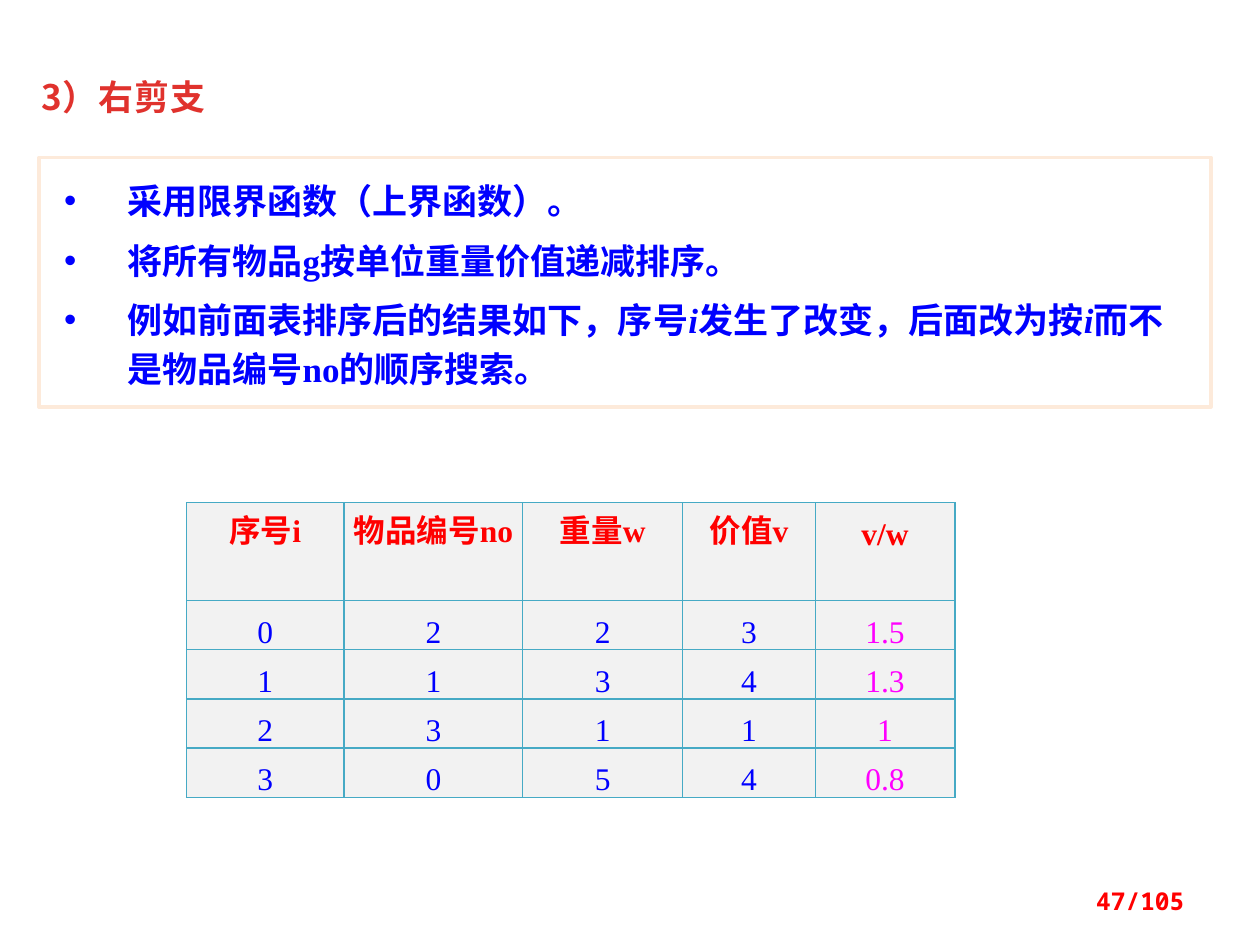
from lxml import etree
from pptx import Presentation
from pptx.dml.color import RGBColor
from pptx.enum import shapes, text
from pptx.oxml.ns import qn
from pptx.util import Inches, Pt

WHITE = RGBColor(0xFF, 0xFF, 0xFF)
RED = RGBColor(0xFF, 0, 0)
BLUE = RGBColor(0, 0, 0xFF)
MAGENTA = RGBColor(0xFF, 0, 0xFF)
TITLE_STOPS = ((0.25, RGBColor(0xE0, 0x32, 0x2D)), (1, RGBColor(0xA2, 0x20, 0x1C)))
PEACH = RGBColor(0xFD, 0xEA, 0xDA)
CELL_GREY = RGBColor(0xF2, 0xF2, 0xF2)
BORDER = RGBColor(0x46, 0xAA, 0xC5)

SERIF, SANS, MONO = "Times New Roman", "Noto Sans CJK SC", "Noto Sans Mono"
LINE_HEIGHT = Pt(28)

# Each bullet is a list of (text, italic) runs
BULLETS = [
    [("采用限界函数（上界函数）。", False)],
    [("将所有物品g按单位重量价值递减排序。", False)],
    [("例如前面表排序后的结果如下，序号", False), ("i", True),
     ("发生了改变，后面改为按", False), ("i", True),
     ("而不是物品编号no的顺序搜索。", False)],
]
ITEMS = [
    ["序号i", "物品编号no", "重量w", "价值v", "v/w"],
    ["0", "2", "2", "3", "1.5"],
    ["1", "1", "3", "4", "1.3"],
    ["2", "3", "1", "1", "1"],
    ["3", "0", "5", "4", "0.8"],
]
COLUMN_WIDTHS = [1.25, 1.42, 1.27, 1.05, 1.11]
ROW_HEIGHT = 0.34


def style_run(run, face, size, color=None, bold=False, italic=False):
    run.font.name = face
    run.font.size = Pt(size)
    run.font.bold = bold
    run.font.italic = italic
    if color is not None:
        run.font.color.rgb = color
    east_asian = etree.SubElement(run.font._element, qn("a:ea"))
    east_asian.set("typeface", SANS)


def add_title(slide, left, top, width, height):
    title = slide.shapes.add_textbox(left, top, width, height)
    frame = title.text_frame
    frame.word_wrap = False
    frame.auto_size = text.MSO_AUTO_SIZE.SHAPE_TO_FIT_TEXT
    frame.text = "3）右剪支"
    run = frame.paragraphs[0].runs[0]
    style_run(run, SANS, 20, bold=True)
    run.font._element.set("spc", "50")
    fill = run.font.fill
    fill.gradient()
    fill.gradient_angle = 270
    for stop, (position, color) in zip(fill.gradient_stops, TITLE_STOPS):
        stop.position = position
        stop.color.rgb = color


def set_bullet(paragraph):
    properties = paragraph._p.get_or_add_pPr()
    properties.set("marL", str(Inches(0.5)))
    properties.set("indent", str(-Inches(0.5)))
    etree.SubElement(properties, qn("a:buFont")).set("typeface", "Arial")
    etree.SubElement(properties, qn("a:buChar")).set("char", "•")


def add_bullet_panel(slide, left, top, width, height):
    panel = slide.shapes.add_shape(shapes.MSO_SHAPE.RECTANGLE, left, top, width, height)
    panel.shadow.inherit = False
    panel.fill.solid()
    panel.fill.fore_color.rgb = WHITE
    panel.line.color.rgb = PEACH
    panel.line.width = Pt(2)

    frame = panel.text_frame
    frame.word_wrap = True
    frame.auto_size = text.MSO_AUTO_SIZE.SHAPE_TO_FIT_TEXT
    frame.vertical_anchor = text.MSO_ANCHOR.TOP
    frame.margin_left, frame.margin_right = Inches(0.2), Inches(0.1)
    frame.margin_top = frame.margin_bottom = Inches(0.12)
    for index, bullet in enumerate(BULLETS):
        paragraph = frame.add_paragraph() if index else frame.paragraphs[0]
        set_bullet(paragraph)
        paragraph.alignment = text.PP_ALIGN.LEFT
        paragraph.line_spacing = LINE_HEIGHT
        if index:
            paragraph.space_before = Pt(6)
        for wording, italic in bullet:
            run = paragraph.add_run()
            run.text = wording
            style_run(run, SERIF, 20, BLUE, bold=True, italic=italic)


def set_borders(cell):
    properties = cell._tc.get_or_add_tcPr()
    for index, side in enumerate(("lnL", "lnR", "lnT", "lnB")):
        line = etree.Element(qn(f"a:{side}"), w=str(Pt(0.75)))
        fill = etree.SubElement(line, qn("a:solidFill"))
        etree.SubElement(fill, qn("a:srgbClr")).set("val", str(BORDER))
        properties.insert(index, line)


def add_item_table(slide, left, top, width, height):
    table = slide.shapes.add_table(
        len(ITEMS), len(COLUMN_WIDTHS), left, top, width, height).table
    for column, column_width in zip(table.columns, COLUMN_WIDTHS):
        column.width = Inches(column_width)
    for row in table.rows:
        row.height = Inches(ROW_HEIGHT)

    for row_index, values in enumerate(ITEMS):
        is_header = row_index == 0
        for column_index, value in enumerate(values):
            cell = table.cell(row_index, column_index)
            cell.fill.solid()
            cell.fill.fore_color.rgb = CELL_GREY
            set_borders(cell)
            cell.margin_left = cell.margin_right = Inches(0.07)
            cell.margin_top = cell.margin_bottom = 0
            cell.text_frame.text = value
            paragraph = cell.text_frame.paragraphs[0]
            paragraph.alignment = text.PP_ALIGN.CENTER
            paragraph.line_spacing = LINE_HEIGHT
            is_ratio = column_index == len(values) - 1
            color = RED if is_header else MAGENTA if is_ratio else BLUE
            style_run(paragraph.runs[0], SERIF, 18, color, bold=is_header)


def add_page_number(slide, left, top, width, height):
    page_number = slide.shapes.add_textbox(left, top, width, height)
    frame = page_number.text_frame
    frame.word_wrap = True
    frame.vertical_anchor = text.MSO_ANCHOR.MIDDLE
    frame.text = "47/105"
    frame.paragraphs[0].alignment = text.PP_ALIGN.RIGHT
    style_run(frame.paragraphs[0].runs[0], MONO, 14, RED, bold=True)


def main():
    deck = Presentation()
    deck.slide_width, deck.slide_height = Inches(10), Inches(7.5)
    slide = deck.slides.add_slide(deck.slide_layouts[6])
    add_title(slide, Inches(0.23), Inches(0.55), Inches(1.72), Inches(0.44))
    add_bullet_panel(slide, Inches(0.31), Inches(1.25), Inches(9.3), Inches(1.98))
    add_item_table(slide, Inches(1.48), Inches(3.99), Inches(6.09), Inches(1.94))
    add_page_number(slide, Inches(7.17), Inches(6.95), Inches(2.33), Inches(0.4))
    deck.save("out.pptx")


if __name__ == "__main__":
    main()
